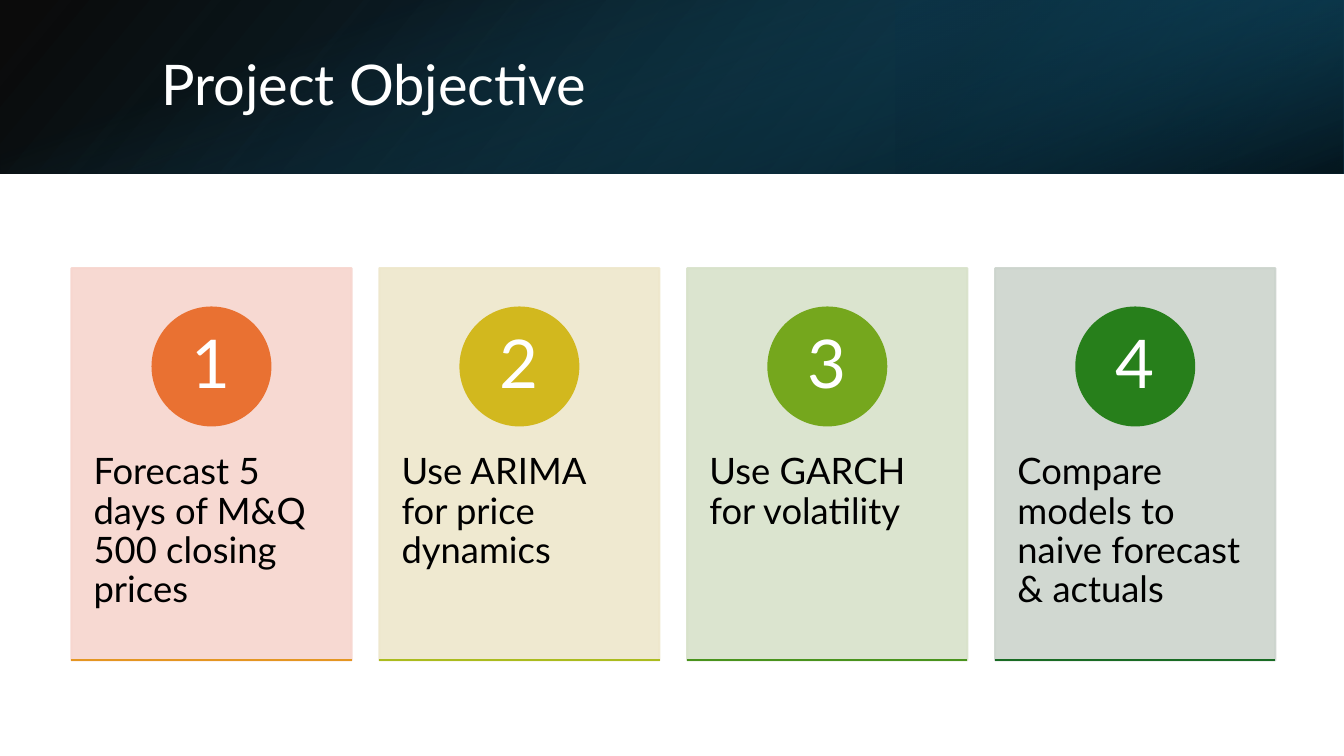
from lxml import etree
from pptx import Presentation
from pptx.dml.color import RGBColor
from pptx.enum.shapes import MSO_CONNECTOR, MSO_SHAPE
from pptx.enum.text import MSO_ANCHOR, MSO_AUTO_SIZE, PP_ALIGN
from pptx.oxml.ns import qn
from pptx.util import Cm, Pt

RECTANGLE = MSO_SHAPE.RECTANGLE
OVAL = MSO_SHAPE.OVAL
STRAIGHT = MSO_CONNECTOR.STRAIGHT
LEFT, CENTER = PP_ALIGN.LEFT, PP_ALIGN.CENTER
TOP, MIDDLE = MSO_ANCHOR.TOP, MSO_ANCHOR.MIDDLE

FONT = "Lato"
WHITE = RGBColor(0xFF, 0xFF, 0xFF)
BLACK = RGBColor(0x00, 0x00, 0x00)
DEEP_BLUE = RGBColor(0x10, 0x48, 0x62)
NAVY = RGBColor(0x0B, 0x30, 0x41)
TEAL = RGBColor(0x15, 0x60, 0x82)
PINK = RGBColor(0xF7, 0xD5, 0xCE)
CREAM = RGBColor(0xEE, 0xE7, 0xCB)
PALE_GREEN = RGBColor(0xD8, 0xE2, 0xCA)
GREY_GREEN = RGBColor(0xCC, 0xD4, 0xCD)
ORANGE = RGBColor(0xE9, 0x71, 0x32)
MUSTARD = RGBColor(0xD2, 0xB8, 0x1E)
LIME = RGBColor(0x75, 0xA7, 0x1D)
GREEN = RGBColor(0x27, 0x7F, 0x1B)
AMBER = RGBColor(0xE4, 0x96, 0x22)
OLIVE = RGBColor(0xAB, 0xBC, 0x1E)
LEAF = RGBColor(0x49, 0x93, 0x1D)
FOREST = RGBColor(0x19, 0x6B, 0x24)

SLIDE_WIDTH, SLIDE_HEIGHT = 33.87, 19.05
BAND_HEIGHT = 4.37
CARD_LEFT, CARD_TOP = 1.8, 6.76
CARD_WIDTH, CARD_HEIGHT = 7.06, 9.88
CARD_PITCH = 7.76
CIRCLE_TOP, CIRCLE_SIZE = 7.75, 2.97
TEXT_TOP, TEXT_HEIGHT = 10.52, 5.92

# Objective, card colour, circle colour, base line colour
OBJECTIVES = [
    ("Forecast 5 days of M&Q 500 closing prices", PINK, ORANGE, AMBER),
    ("Use ARIMA for price dynamics", CREAM, MUSTARD, OLIVE),
    ("Use GARCH for volatility", PALE_GREEN, LIME, LEAF),
    ("Compare models to naive forecast & actuals", GREY_GREEN, GREEN, FOREST),
]


def set_opacity(parent, percent):
    """Give every colour below the element the same opacity."""
    for color in parent.iter(qn("a:srgbClr")):
        etree.SubElement(color, qn("a:alpha")).set("val", str(percent * 1000))


def add_gradient_band(slide, box, stops, angle, rotation=0, flipped=False):
    """Stops are (position, colour, opacity) in percent; the angle is clockwise."""
    band = slide.shapes.add_shape(RECTANGLE, *map(Cm, box))
    band.shadow.inherit = False
    band.rotation = rotation
    properties = band.element.spPr
    if flipped:
        properties.find(qn("a:xfrm")).set("flipH", "1")
    gradient = etree.Element(qn("a:gradFill"), rotWithShape="1")
    stop_list = etree.SubElement(gradient, qn("a:gsLst"))
    for position, color, opacity in stops:
        stop = etree.SubElement(stop_list, qn("a:gs"), pos=str(position * 1000))
        etree.SubElement(stop, qn("a:srgbClr"), val=str(color))
        set_opacity(stop, opacity)
    etree.SubElement(gradient, qn("a:lin"), ang=str(angle * 60000), scaled="0")
    properties.find(qn("a:prstGeom")).addnext(gradient)
    band.line.fill.background()


def add_solid_shape(slide, kind, box, color):
    shape = slide.shapes.add_shape(kind, *map(Cm, box))
    shape.shadow.inherit = False
    shape.fill.solid()
    shape.fill.fore_color.rgb = color
    shape.line.color.rgb = color
    shape.line.width = Pt(1.5)
    return shape


def set_text(shape, text, size, color, alignment, anchor, insets):
    """Insets are the horizontal and the vertical margin in centimetres."""
    frame = shape.text_frame
    frame.text = text
    frame.word_wrap = True
    frame.auto_size = MSO_AUTO_SIZE.NONE
    frame.vertical_anchor = anchor
    frame.margin_left = frame.margin_right = Cm(insets[0])
    frame.margin_top = frame.margin_bottom = Cm(insets[1])
    paragraph = frame.paragraphs[0]
    paragraph.alignment = alignment
    paragraph.line_spacing = 0.9
    font = paragraph.runs[0].font
    font.name = FONT
    font.size = Pt(size)
    font.color.rgb = color


def add_base_line(slide, left, color):
    bottom = Cm(CARD_TOP + CARD_HEIGHT)
    line = slide.shapes.add_connector(
        STRAIGHT, Cm(left), bottom, Cm(left + CARD_WIDTH), bottom)
    line.line.color.rgb = color
    line.line.width = Pt(1.5)
    etree.SubElement(line.element.spPr, qn("a:effectLst"))


def add_card(slide, number, objective, card_color, circle_color, line_color):
    left = CARD_LEFT + (number - 1) * CARD_PITCH
    card = add_solid_shape(
        slide, RECTANGLE, (left, CARD_TOP, CARD_WIDTH, CARD_HEIGHT), card_color)
    set_opacity(card.element.spPr, 90)

    text_box = slide.shapes.add_textbox(
        Cm(left), Cm(TEXT_TOP), Cm(CARD_WIDTH), Cm(TEXT_HEIGHT))
    set_text(text_box, objective, 26, BLACK, LEFT, TOP, (0.56, 0.91))

    circle_left = left + (CARD_WIDTH - CIRCLE_SIZE) / 2
    circle = add_solid_shape(
        slide, OVAL, (circle_left, CIRCLE_TOP, CIRCLE_SIZE, CIRCLE_SIZE), circle_color)
    set_text(circle, str(number), 48, WHITE, CENTER, MIDDLE, (0.23, 0.03))
    add_base_line(slide, left, line_color)


def add_header(slide):
    add_gradient_band(
        slide, (0, 0, SLIDE_WIDTH, BAND_HEIGHT),
        [(0, BLACK, 96), (100, DEEP_BLUE, 100)], 140, flipped=True)
    third = SLIDE_WIDTH / 3
    add_gradient_band(
        slide, (2 * third, 0, third, BAND_HEIGHT),
        [(19, NAVY, 68), (100, TEAL, 79)], 320, rotation=180, flipped=True)
    offset = (SLIDE_WIDTH - BAND_HEIGHT) / 2
    add_gradient_band(
        slide, (offset, -offset, BAND_HEIGHT, SLIDE_WIDTH),
        [(23, TEAL, 0), (99, BLACK, 74)], 340, rotation=90)


def place_title(slide, text):
    """Fill the title placeholder and bring it in front of the header."""
    title = slide.shapes.title
    title.left, title.top, title.width, title.height = map(Cm, (3.81, 0.97, 27.89, 2.44))
    set_text(title, text, 40, WHITE, LEFT, MIDDLE, (0.25, 0.13))
    title.element.getparent().append(title.element)


def main():
    presentation = Presentation()
    presentation.slide_width = Cm(SLIDE_WIDTH)
    presentation.slide_height = Cm(SLIDE_HEIGHT)
    slide = presentation.slides.add_slide(presentation.slide_layouts.get_by_name("Title Only"))
    add_header(slide)
    place_title(slide, "Project Objective")
    for number, objective in enumerate(OBJECTIVES, start=1):
        add_card(slide, number, *objective)
    presentation.save("out.pptx")


if __name__ == "__main__":
    main()
